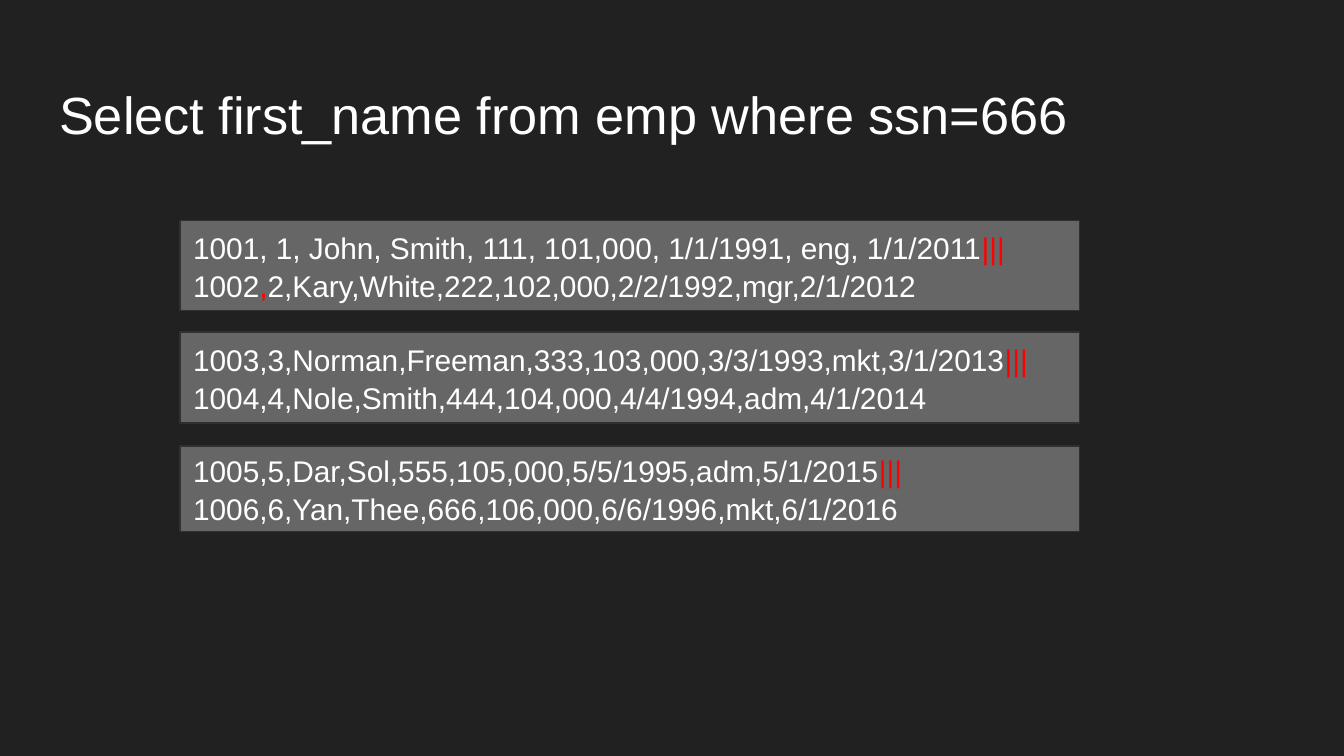
from pptx import Presentation
from pptx.dml.color import RGBColor
from pptx.enum.shapes import MSO_SHAPE
from pptx.enum.text import MSO_ANCHOR, PP_ALIGN
from pptx.util import Cm, Pt

RECTANGLE = MSO_SHAPE.RECTANGLE
TOP, MIDDLE = MSO_ANCHOR.TOP, MSO_ANCHOR.MIDDLE
LEFT = PP_ALIGN.LEFT

BACKGROUND = RGBColor(0x21, 0x21, 0x21)
WHITE = RGBColor(0xFF, 0xFF, 0xFF)
RED = RGBColor(0xFF, 0x00, 0x00)
BLOCK_FILL = RGBColor(0x66, 0x66, 0x66)
BLOCK_LINE = RGBColor(0x30, 0x30, 0x30)

FONT = "Arial"
TITLE = "Select first_name from emp where ssn=666"
SEPARATOR = "|||"

# Each block: top, height, and rows of runs that alternate white and red.
BLOCKS = [
    (4.17, 1.7, [
        ["1001, 1, John, Smith, 111, 101,000, 1/1/1991, eng, 1/1/2011", SEPARATOR],
        ["1002", ",", "2,Kary,White,222,102,000,2/2/1992,mgr,2/1/2012"],
    ]),
    (6.28, 1.72, [
        ["1003,3,Norman,Freeman,333,103,000,3/3/1993,mkt,3/1/2013", SEPARATOR],
        ["1004,4,Nole,Smith,444,104,000,4/4/1994,adm,4/1/2014"],
    ]),
    (8.43, 1.62, [
        ["1005,5,Dar,Sol,555,105,000,5/5/1995,adm,5/1/2015", SEPARATOR],
        ["1006,6,Yan,Thee,666,106,000,6/6/1996,mkt,6/1/2016"],
    ]),
]


def write_rows(tf, rows, size, anchor, spacing):
    """Fill a text frame with rows of alternating white and red runs."""
    tf.word_wrap = True
    tf.vertical_anchor = anchor
    tf.margin_left = tf.margin_right = Cm(0.25)
    tf.margin_top = tf.margin_bottom = Cm(0.25)
    for i, row in enumerate(rows):
        p = tf.paragraphs[0] if i == 0 else tf.add_paragraph()
        p.alignment = LEFT
        p.line_spacing = spacing
        p.font.name = FONT
        p.font.size = Pt(size)
        for j, text in enumerate(row):
            r = p.add_run()
            r.text = text
            r.font.color.rgb = RED if j % 2 else WHITE


def add_title(s, text):
    """Add the slide title."""
    box = s.shapes.add_textbox(Cm(0.87), Cm(1.25), Cm(23.67), Cm(1.6))
    write_rows(box.text_frame, [[text]], 28, TOP, 1.05)


def add_block(s, top, height, rows):
    """Add a grey storage block holding records."""
    sp = s.shapes.add_shape(RECTANGLE, Cm(3.4), Cm(top), Cm(17), Cm(height))
    sp.shadow.inherit = False
    sp.fill.solid()
    sp.fill.fore_color.rgb = BLOCK_FILL
    sp.line.color.rgb = BLOCK_LINE
    sp.line.width = Pt(0.75)
    write_rows(sp.text_frame, rows, 16, MIDDLE, 1.05)


def main():
    """Build the slide and save it."""
    prs = Presentation()
    prs.slide_width, prs.slide_height = Cm(25.4), Cm(14.29)
    s = prs.slides.add_slide(prs.slide_layouts[6])
    s.background.fill.solid()
    s.background.fill.fore_color.rgb = BACKGROUND
    add_title(s, TITLE)
    for top, height, rows in BLOCKS:
        add_block(s, top, height, rows)


    prs.save("out.pptx")


if __name__ == "__main__":
    main()
